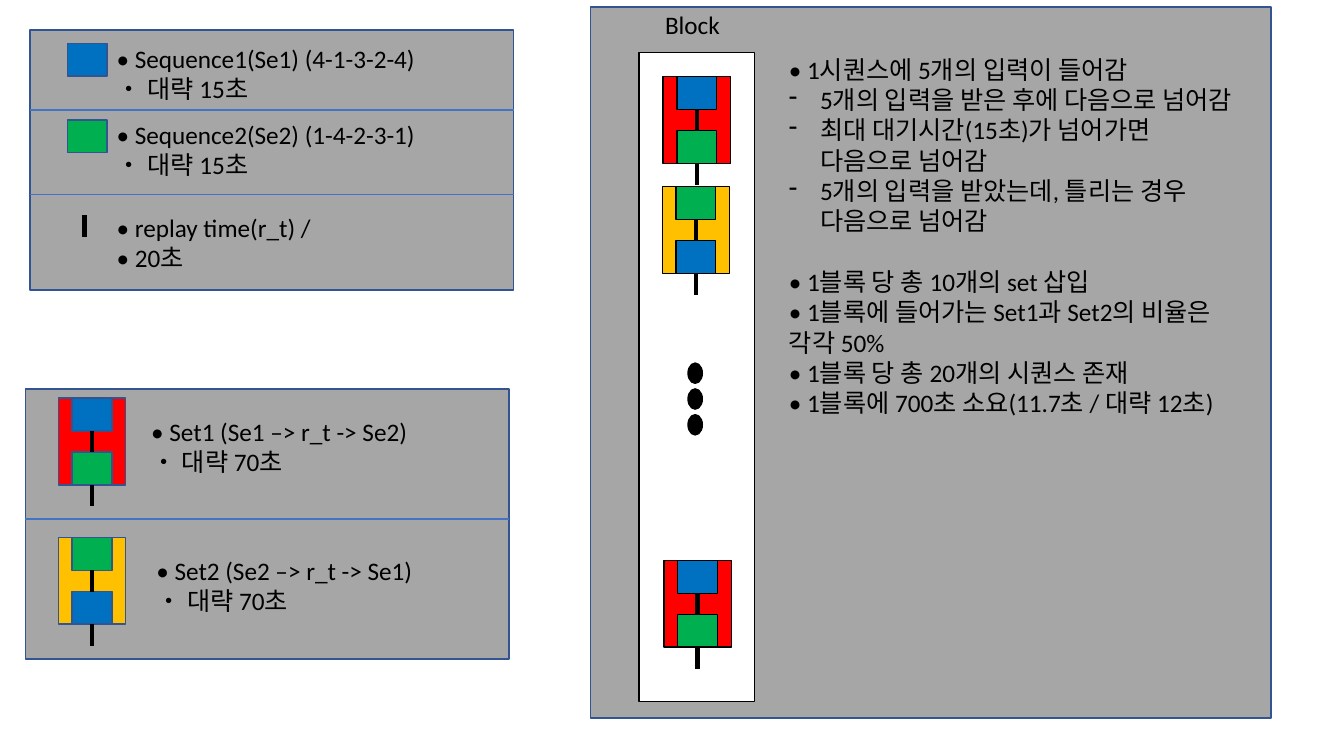
from pptx import Presentation
from pptx.dml.color import RGBColor
from pptx.enum.shapes import MSO_CONNECTOR as Conn, MSO_SHAPE as Kind
from pptx.oxml.ns import qn
from pptx.util import Cm, Pt
from lxml.etree import SubElement as add_node

BLACK = RGBColor(0, 0, 0)
WHITE = RGBColor(255, 255, 255)
GRAY = RGBColor(0xA6, 0xA6, 0xA6)
NAVY = RGBColor(0x32, 0x54, 0x91)
RULE = RGBColor(0x44, 0x72, 0xC4)
BLUE = RGBColor(0, 0x70, 0xC0)
GREEN = RGBColor(0, 0xB0, 0x50)
RED = RGBColor(255, 0, 0)
GOLD = RGBColor(255, 0xC0, 0)

CHIP_W, CHIP_H = 1, 0.83
SET_W, SET_H = 1.7, 2.19
TICK = 0.54
SET1 = (RED, BLUE, GREEN)
SET2 = (GOLD, GREEN, BLUE)


def draw(slide, x, y, w, h, fill, edge=NAVY, kind=Kind.RECTANGLE):
    shape = slide.shapes.add_shape(kind, Cm(x), Cm(y), Cm(w), Cm(h))
    shape.shadow.inherit = False
    shape.fill.solid()
    shape.fill.fore_color.rgb = fill
    shape.line.color.rgb = edge
    shape.line.width = Pt(1)


def link(slide, x, y, w, h, color, size):
    line = slide.shapes.add_connector(
        Conn.STRAIGHT, Cm(x), Cm(y), Cm(x + w), Cm(y + h))
    line.line.color.rgb = color
    line.line.width = Pt(size)
    add_node(line._element.spPr, qn("a:effectLst"))


def tick(slide, x, y):
    link(slide, x, y, 0, TICK, BLACK, 3)


def write(slide, x, y, w, h, lines):
    box = slide.shapes.add_textbox(Cm(x), Cm(y), Cm(w), Cm(h))
    frame = box.text_frame
    frame.word_wrap = True
    frame.text = "\n".join(lines)
    for para in frame.paragraphs:
        para.font.size = Pt(18)
        para.font.name = "Calibri"
        para.font.color.rgb = BLACK
    return frame.paragraphs


def dash(para):
    props = para._p.get_or_add_pPr()
    props.set("marL", str(Cm(0.79)))
    props.set("indent", str(-Cm(0.79)))
    mark = add_node(props, qn("a:buChar"))
    mark.set("char", "-")
    props.insert_element_before(mark, "a:defRPr")


def draw_set(slide, x, y, colors, edge=NAVY):
    back, first, second = colors
    low = SET_H - CHIP_H
    left = x + (SET_W - CHIP_W) / 2
    mid = x + SET_W / 2
    draw(slide, x, y, SET_W, SET_H, back, edge)
    draw(slide, left, y, CHIP_W, CHIP_H, first, edge)
    draw(slide, left, y + low, CHIP_W, CHIP_H, second, edge)
    tick(slide, mid, y + CHIP_H)
    tick(slide, mid, y + SET_H)


def draw_keys(slide, x, y, w, h):
    draw(slide, x, y, w, h, GRAY)
    for top, fill in ((0.33, BLUE), (2.26, GREEN)):
        draw(slide, x + 0.94, y + top, CHIP_W, CHIP_H, fill)
    tick(slide, x + 1.37, y + 4.67)
    for top, lines in (
        (0.2, ("• Sequence1(Se1) (4-1-3-2-4)", "• 대략 15초")),
        (2.11, ("• Sequence2(Se2) (1-4-2-3-1)", "• 대략 15초")),
        (4.47, ("• replay time(r_t) / ", "• 20초")),
    ):
        write(slide, x + 1.93, y + top, 11, 1.8, lines)
    for top in (2.01, 4.14):
        link(slide, x, y + top, w, 0, RULE, 1)


def draw_sets(slide, x, y, w, h):
    draw(slide, x, y, w, h, GRAY)
    for top, colors, left, name in (
        (0.23, SET1, 2.92, "• Set1 (Se1 –> r_t -> Se2)"),
        (3.74, SET2, 3.05, "• Set2 (Se2 –> r_t -> Se1)"),
    ):
        draw_set(slide, x + 0.83, y + top, colors)
        write(slide, x + left, y + top + 0.33, 11, 1.8,
              (name, "• 대략 70초"))
    link(slide, x, y + 3.28, w, 0, RULE, 1)


def draw_block(slide, x, y, w, h):
    draw(slide, x, y, w, h, GRAY)
    write(slide, x + 1.63, y - 0.08, 2.01, 1.02, ["Block"])
    draw(slide, x + 1.22, y + 1.14, 2.92, 16.36, WHITE, BLACK)
    for row in range(3):
        draw(slide, x + 2.46, y + 8.97 + row * 0.65, 0.36, 0.51,
             BLACK, BLACK, Kind.OVAL)
    for left, top, colors in (
        (1.83, 1.75, SET1), (1.81, 4.52, SET2), (1.85, 13.94, SET1),
    ):
        draw_set(slide, x + left, y + top, colors, BLACK)
    paras = write(slide, x + 4.75, y + 1.06, 12.09, 10.26, (
        "• 1시퀀스에 5개의 입력이 들어감",
        "5개의 입력을 받은 후에 다음으로 넘어감",
        "최대 대기시간(15초)가 넘어가면 다음으로 넘어감",
        "5개의 입력을 받았는데, 틀리는 경우 다음으로 넘어감",
        "• 1블록 당 총 10개의 set 삽입",
        "• 1블록에 들어가는 Set1과 Set2의 비율은 각각 50%",
        "• 1블록 당 총 20개의 시퀀스 존재",
        "• 1블록에 700초 소요(11.7초 / 대략 12초)",
    ))
    for para in paras[1:4]:
        dash(para)
    paras[4].space_before = Pt(22)


deck = Presentation()
deck.slide_width, deck.slide_height = Cm(33.87), Cm(19.05)
slide = deck.slides.add_slide(deck.slide_layouts[6])
draw_block(slide, 14.88, 0.18, 17.15, 17.91)
draw_sets(slide, 0.64, 9.8, 12.19, 6.81)
draw_keys(slide, 0.76, 0.76, 12.19, 6.55)
deck.save("out.pptx")
